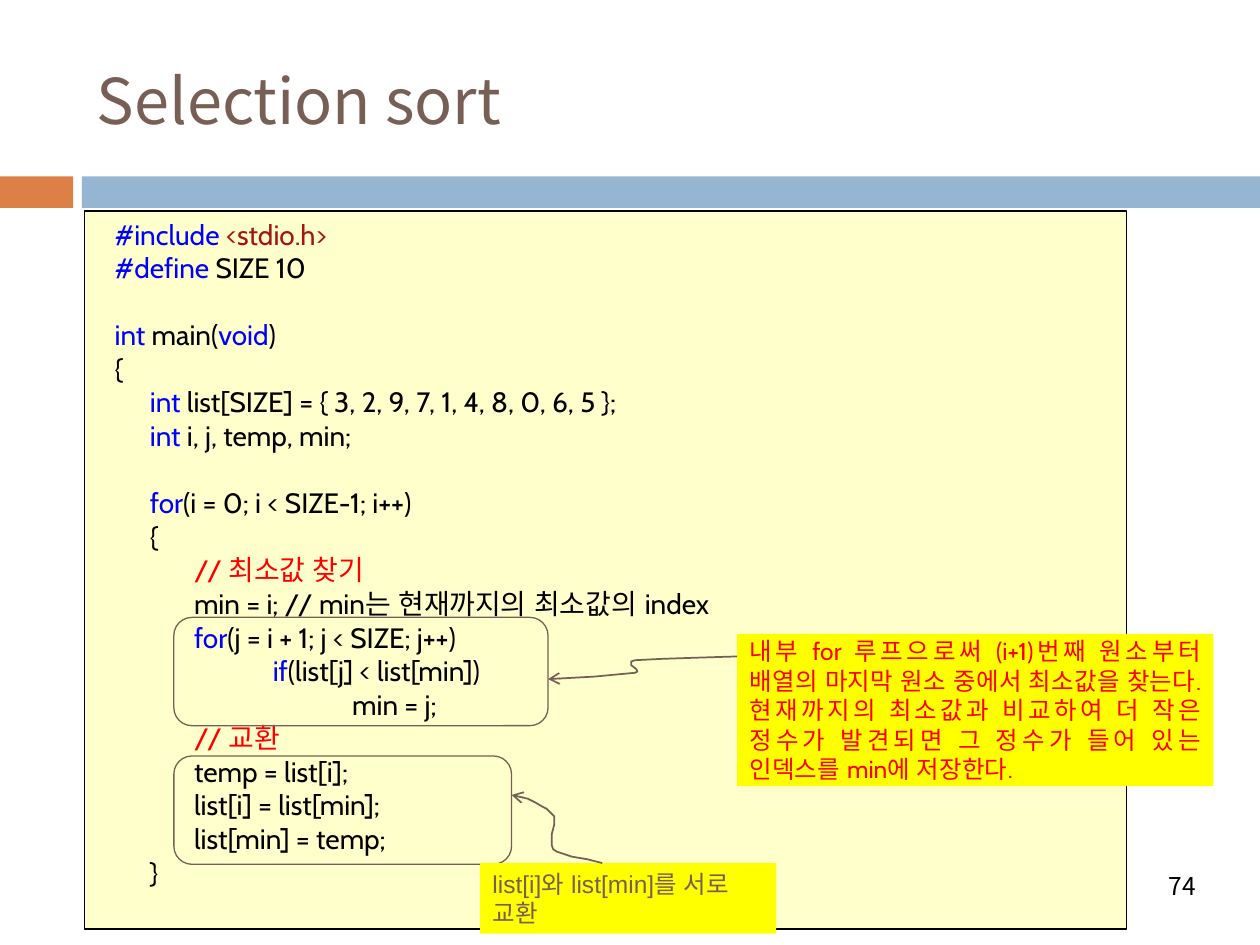
"""Build a slide that explains selection sort in C with two annotated code blocks."""
from lxml import etree
from pptx import Presentation
from pptx import util as u
from pptx.dml.color import RGBColor
from pptx.enum import shapes, text
from pptx.oxml import ns

COLORS = {
    "orange": "DD8047", "blue": "94B6D2", "brown": "775F55", "cream": "FFFFCC",
    "yellow": "FFFF00", "black": "000000", "keyword": "0000FF", "string": "A31515",
    "red": "FF0000",
}
KOREAN = "Noto Sans CJK KR"
COLUMNS, ROWS = 100, 75
RECT = shapes.MSO_SHAPE.RECTANGLE
ROUNDED = shapes.MSO_SHAPE.ROUNDED_RECTANGLE
MIDDLE = text.MSO_ANCHOR.MIDDLE
ALIGN = text.PP_ALIGN

deck = Presentation()
deck.slide_width, deck.slide_height = u.Inches(10), u.Inches(7.5)
column, row = deck.slide_width // COLUMNS, deck.slide_height // ROWS
page = deck.slides.add_slide(deck.slide_layouts[6])


def add_box(place, kind=RECT, fill=None, line=None, weight=0.75):
    left, top, width, height = place
    box = page.shapes.add_shape(
        kind, round(left * column), round(top * row), round(width * column), round(height * row))
    box.shadow.inherit = False
    box.fill.background()
    box.line.fill.background()
    if fill:
        box.fill.solid()
        box.fill.fore_color.rgb = RGBColor.from_string(COLORS[fill])
    if line:
        box.line.fill.solid()
        box.line.fill.fore_color.rgb = RGBColor.from_string(COLORS[line])
        box.line.width = u.Pt(weight)
    box.text_frame.word_wrap = True
    return box


def write(para, words, size, font, color, align=ALIGN.LEFT):
    para.alignment = align
    para._p.get_or_add_pPr().set("hangingPunct", "0")
    span = para.add_run()
    span.text = words
    span.font.size = u.Pt(size)
    span.font.name = font
    span.font.color.rgb = RGBColor.from_string(COLORS[color])
    east_asian = etree.SubElement(span.font._element, ns.qn("a:ea"))
    east_asian.set("typeface", "Arial")


add_box((0, 14, 5.8, 2.5), fill="orange")
add_box((6.5, 14, 93.5, 2.5), fill="blue")

code_lines = [
    (0, 0, [("#include ", "keyword"), ("<stdio.h>", "string")]),
    (0, 0, [("#define ", "keyword"), ("SIZE 10", "black")]),
    (1, 0, [("int ", "keyword"), ("main(", "black"), ("void", "keyword"), (")", "black")]),
    (0, 0, [("{", "black")]),
    (0, 1, [("int ", "keyword"), ("list[SIZE] = { 3, 2, 9, 7, 1, 4, 8, 0, 6, 5 };", "black")]),
    (0, 1, [("int ", "keyword"), ("i, j, temp, min;", "black")]),
    (1, 1, [("for", "keyword"), ("(i = 0; i < SIZE-1; i++)", "black")]),
    (0, 1, [("{", "black")]),
    (0, 2, [("// 최소값 찾기", "red")]),
    (0, 2, [("min = i; // min는 현재까지의 최소값의 index", "black")]),
    (0, 2, [("for", "keyword"), ("(j = i + 1; j < SIZE; j++)", "black")]),
    (0, 3, [("if", "keyword"), ("(list[j] < list[min])", "black")]),
    (0, 4, [("min = j;", "black")]),
    (0, 2, [("// 교환", "red")]),
    (0, 2, [("temp = list[i];", "black")]),
    (0, 2, [("list[i] = list[min];", "black")]),
    (0, 2, [("list[min] = temp;", "black")]),
    (0, 1, [("}", "black")]),
]
indents = [1.4, 4.2, 7.7, 13.95, 20.25]
line_height = 19.2

code = add_box((6.72, 16.74, 82.7, 57), fill="cream", line="black").text_frame
code.vertical_anchor = text.MSO_ANCHOR.TOP
for number, (gap, depth, spans) in enumerate(code_lines):
    para = code.add_paragraph() if number else code.paragraphs[0]
    para.space_before = u.Pt(gap * line_height)
    properties = para._p.get_or_add_pPr()
    properties.set("marL", str(round(indents[depth] * column)))
    properties.set("indent", "0")
    for words, color in spans:
        write(para, words, 16, "Cabin", color)

for place in [(13.8, 49, 29.7, 8.6), (13.8, 60, 26.8, 8.6)]:
    add_box(place, ROUNDED, line="brown")

labels = [
    ((6.7, 2.5, 89.2, 10.8), None, "Selection sort", 36, KOREAN, "brown", ALIGN.LEFT),
    ((58.5, 50.3, 37.8, 12.1), "yellow",
     "내부 for 루프으로써 (i+1)번째 원소부터 배열의 마지막 원소 중에서 최소값을 찾는다. "
     "현재까지의 최소값과 비교하여 더 작은 정수가 발견되면 그 정수가 들어 있는 "
     "인덱스를 min에 저장한다.", 14, "Cabin", "red", ALIGN.JUSTIFY),
    ((38.1, 68.5, 23.5, 5.6), "yellow", "list[i]와 list[min]를 서로 교환",
     14, "Arial", "brown", ALIGN.LEFT),
    ((68.1, 68.3, 27.8, 4), None, "74", 14, KOREAN, "black", ALIGN.RIGHT),
]
for place, fill, words, size, font, color, align in labels:
    frame = add_box(place, fill=fill).text_frame
    frame.vertical_anchor = MIDDLE
    write(frame.paragraphs[0], words, size, font, color, align)

arrows = [
    [(58.5, 52.1), (55.3, 52.2), (52.4, 52.3), (50.4, 52.4), (50.1, 52.5), (50.1, 52.8),
     (50.5, 53.1), (50.6, 53.3), (50.4, 53.4), (49.3, 53.5), (47.2, 53.7), (45.4, 53.8),
     (43.5, 53.9)],
    [(47.8, 68.5), (46.6, 68.2), (45.4, 68), (44.2, 67.6), (43.9, 67.4), (43.8, 67.1),
     (43.8, 66.2), (44, 65.4), (44, 64.8), (43.8, 64.6), (43.4, 64.2), (43, 64),
     (42.5, 63.7), (41.9, 63.4), (41.1, 63.2), (40.6, 63.1)],
]
for points in arrows:
    start, *rest = [(x * 10, y * 10) for x, y in points]
    builder = page.shapes.build_freeform(*start, scale=(column / 10, row / 10))
    builder.add_line_segments(rest, close=False)
    arrow = builder.convert_to_shape()
    arrow.shadow.inherit = False
    arrow.fill.background()
    arrow.line.color.rgb = RGBColor.from_string(COLORS["brown"])
    arrow.line.width = u.Pt(1)
    etree.SubElement(arrow.line._get_or_add_ln(), ns.qn("a:tailEnd"), type="arrow")

deck.save("out.pptx")
